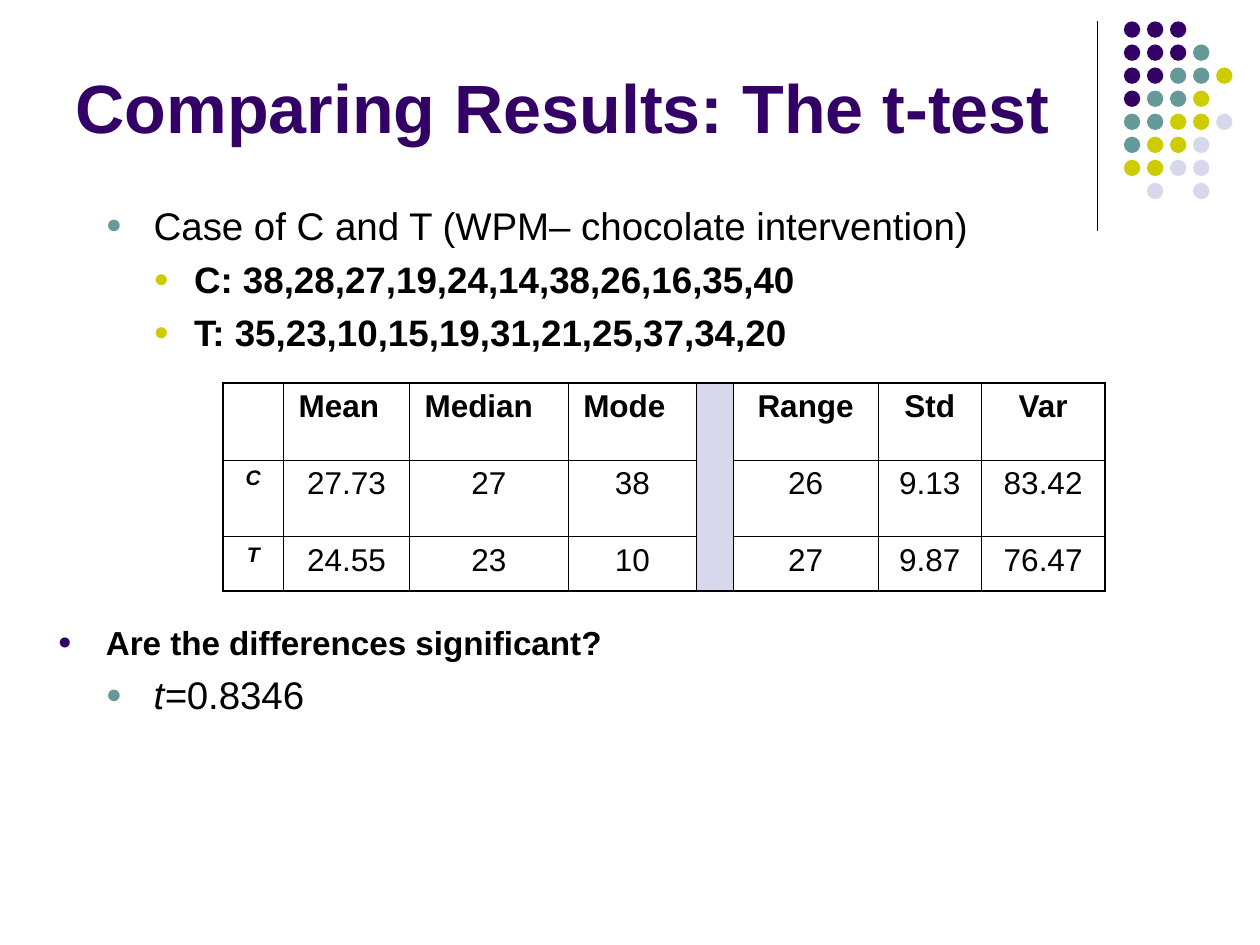
from lxml import etree
from pptx import Presentation
from pptx import util as u
from pptx.dml.color import RGBColor
from pptx.enum import shapes, text
from pptx.oxml import ns

COLORS = {
    "ink": "000000",
    "purple": "330066",
    "teal": "669999",
    "lime": "CCCC00",
    "lilac": "D8D8EC",
}
FONT = "Arial"
DOT_ROWS = ["PPP", "PPPT", "PPTTL", "PTTL", "TTLLV", "TLLV", "LLVV", " V V"]
DOT_COLORS = {"P": "purple", "T": "teal", "L": "lime", "V": "lilac"}
DOT_SIZE, DOT_PITCH = 0.13, 0.183

# Margin, hanging indent (inches) and bullet colour for each outline level
LEVELS = [(0.38, 0.38, "purple"), (0.76, 0.38, "teal"), (1.08, 0.32, "lime")]
# Level, space before (points), run format, runs with their italic flag.
# The large space leaves room for the table.
OUTLINE = [
    (1, 0, {"size": 22}, [("Case of C and T (WPM– chocolate intervention)", False)]),
    (2, 5.2, {"size": 21, "bold": True}, [("C: 38,28,27,19,24,14,38,26,16,35,40", False)]),
    (2, 5.2, {"size": 21, "bold": True}, [("T: 35,23,10,15,19,31,21,25,37,34,20", False)]),
    (0, 153, {"size": 19, "bold": True}, [("Are the differences significant?", False)]),
    (1, 5.5, {"size": 22}, [("t=", True), ("0.8346", False)]),
]

STATISTICS = [
    ["", "Mean", "Median", "Mode", "", "Range", "Std", "Var"],
    ["C", "27.73", "27", "38", "", "26", "9.13", "83.42"],
    ["T", "24.55", "23", "10", "", "27", "9.87", "76.47"],
]
COLUMN_WIDTHS = [0.48, 1, 1.26, 1.02, 0.29, 1.15, 0.82, 0.98]
ROW_HEIGHTS = [0.61, 0.61, 0.43]
DIVIDER = 4
OUTER, INNER = 1.08, 0.45


def inches(*lengths):
    return [u.Inches(length) for length in lengths]


def add_xml(parent, tag, **attributes):
    return etree.SubElement(parent, ns.qn(tag), attributes)


class SlideBuilder:
    def __init__(self, slide, font, colors):
        self.slide = slide
        self.font = font
        self.colors = colors

    def rgb(self, name):
        return RGBColor.from_string(self.colors[name])

    def add_run(self, paragraph, words, size, color="ink", bold=False, italic=False):
        run = paragraph.add_run()
        run.text = words
        values = {"name": self.font, "size": u.Pt(size), "bold": bold, "italic": italic}
        for attribute, value in values.items():
            setattr(run.font, attribute, value)
        run.font.color.rgb = self.rgb(color)

    def place(self, placeholder, box, anchor):
        """Move a placeholder and return its text frame."""
        for side, length in zip(("left", "top", "width", "height"), inches(*box)):
            setattr(placeholder, side, length)
        frame = placeholder.text_frame
        values = {"word_wrap": True, "auto_size": text.MSO_AUTO_SIZE.NONE,
                  "vertical_anchor": anchor}
        for attribute, value in values.items():
            setattr(frame, attribute, value)
        return frame

    def title(self, words, box):
        frame = self.place(self.slide.shapes.title, box, text.MSO_ANCHOR.MIDDLE)
        heading = frame.paragraphs[0]
        heading.alignment = text.PP_ALIGN.LEFT
        self.add_run(heading, words, 39, "purple", bold=True)

    def outline(self, items, box):
        frame = self.place(self.slide.placeholders[1], box, text.MSO_ANCHOR.TOP)
        for index, (level, space, style, runs) in enumerate(items):
            item = frame.add_paragraph() if index else frame.paragraphs[0]
            item.level = level
            self.bullet(item, *LEVELS[level])
            item.space_before = u.Pt(space)
            for words, italic in runs:
                self.add_run(item, words, italic=italic, **style)

    def bullet(self, paragraph, margin, hanging, color):
        properties = paragraph._p.get_or_add_pPr()
        properties.set("marL", str(u.Inches(margin)))
        properties.set("indent", str(-u.Inches(hanging)))
        bullet_color = add_xml(properties, "a:buClr")
        add_xml(bullet_color, "a:srgbClr", val=self.colors[color])
        add_xml(properties, "a:buSzPct", val="70000")
        add_xml(properties, "a:buFont", typeface=self.font)
        add_xml(properties, "a:buChar", char="●")

    def line(self, x1, y1, x2, y2):
        rule = self.slide.shapes.add_connector(
            shapes.MSO_CONNECTOR.STRAIGHT, *inches(x1, y1, x2, y2))
        rule.line.width = u.Pt(0.75)
        rule.line.color.rgb = self.rgb("ink")
        add_xml(rule._element.spPr, "a:effectLst")

    def dots(self, left, top):
        for row, codes in enumerate(DOT_ROWS):
            for column, code in enumerate(codes):
                if code == " ":
                    continue
                dot = self.slide.shapes.add_shape(
                    shapes.MSO_SHAPE.OVAL,
                    *inches(left + column * DOT_PITCH, top + row * DOT_PITCH,
                            DOT_SIZE, DOT_SIZE))
                dot.shadow.inherit = False
                dot.fill.solid()
                dot.fill.fore_color.rgb = self.rgb(DOT_COLORS[code])
                dot.line.fill.background()

    def borders(self, cell, widths):
        properties = cell._tc.get_or_add_tcPr()
        for side, width in widths.items():
            edge = add_xml(properties, f"a:ln{side}", w=str(u.Pt(width)))
            fill = add_xml(edge, "a:solidFill")
            add_xml(fill, "a:srgbClr", val=self.colors["ink"])

    def table(self, rows, left, top):
        grid = self.slide.shapes.add_table(
            len(rows), len(COLUMN_WIDTHS),
            *inches(left, top, sum(COLUMN_WIDTHS), sum(ROW_HEIGHTS))).table
        grid.first_row = grid.horz_banding = False
        for column, width in zip(grid.columns, COLUMN_WIDTHS):
            column.width = u.Inches(width)
        for row, height in zip(grid.rows, ROW_HEIGHTS):
            row.height = u.Inches(height)
        last_row, last_column = len(rows) - 1, len(COLUMN_WIDTHS) - 1
        grid.cell(0, DIVIDER).merge(grid.cell(last_row, DIVIDER))

        for r, values in enumerate(rows):
            for c, value in enumerate(values):
                cell = grid.cell(r, c)
                if cell.is_spanned:
                    continue
                bottom_row = r + cell.span_height - 1
                on_edge = {"L": c == 0, "R": c == last_column,
                           "T": r == 0, "B": bottom_row == last_row}
                self.borders(cell, {side: OUTER if outer else INNER
                                    for side, outer in on_edge.items()})
                if c == DIVIDER:
                    cell.fill.solid()
                    cell.fill.fore_color.rgb = self.rgb("lilac")
                else:
                    cell.fill.background()
                if value:
                    self.cell_text(cell, value, r, c)

    def cell_text(self, cell, value, row, column):
        cell.margin_left = cell.margin_right = u.Inches(0.12)
        cell.margin_top = cell.margin_bottom = u.Inches(0.05)
        paragraph = cell.text_frame.paragraphs[0]
        left_heading = row == 0 and column < DIVIDER
        paragraph.alignment = (text.PP_ALIGN.LEFT if left_heading
                               else text.PP_ALIGN.CENTER)
        row_label = column == 0
        self.add_run(paragraph, value, 12 if row_label else 18,
                     bold=row == 0 or row_label, italic=row_label)


def main():
    deck = Presentation()
    deck.slide_width, deck.slide_height = inches(10, 7.5)
    slide = deck.slides.add_slide(deck.slide_layouts[1])
    builder = SlideBuilder(slide, FONT, COLORS)
    builder.line(8.71, 0.17, 8.71, 1.83)
    builder.dots(8.92, 0.17)
    builder.title("Comparing Results: The t-test", (0.5, 0.13, 8.25, 1.42))
    builder.outline(OUTLINE, (0.36, 1.55, 9.15, 5.36))
    builder.table(STATISTICS, 1.77, 3.04)
    deck.save("out.pptx")


if __name__ == "__main__":
    main()
